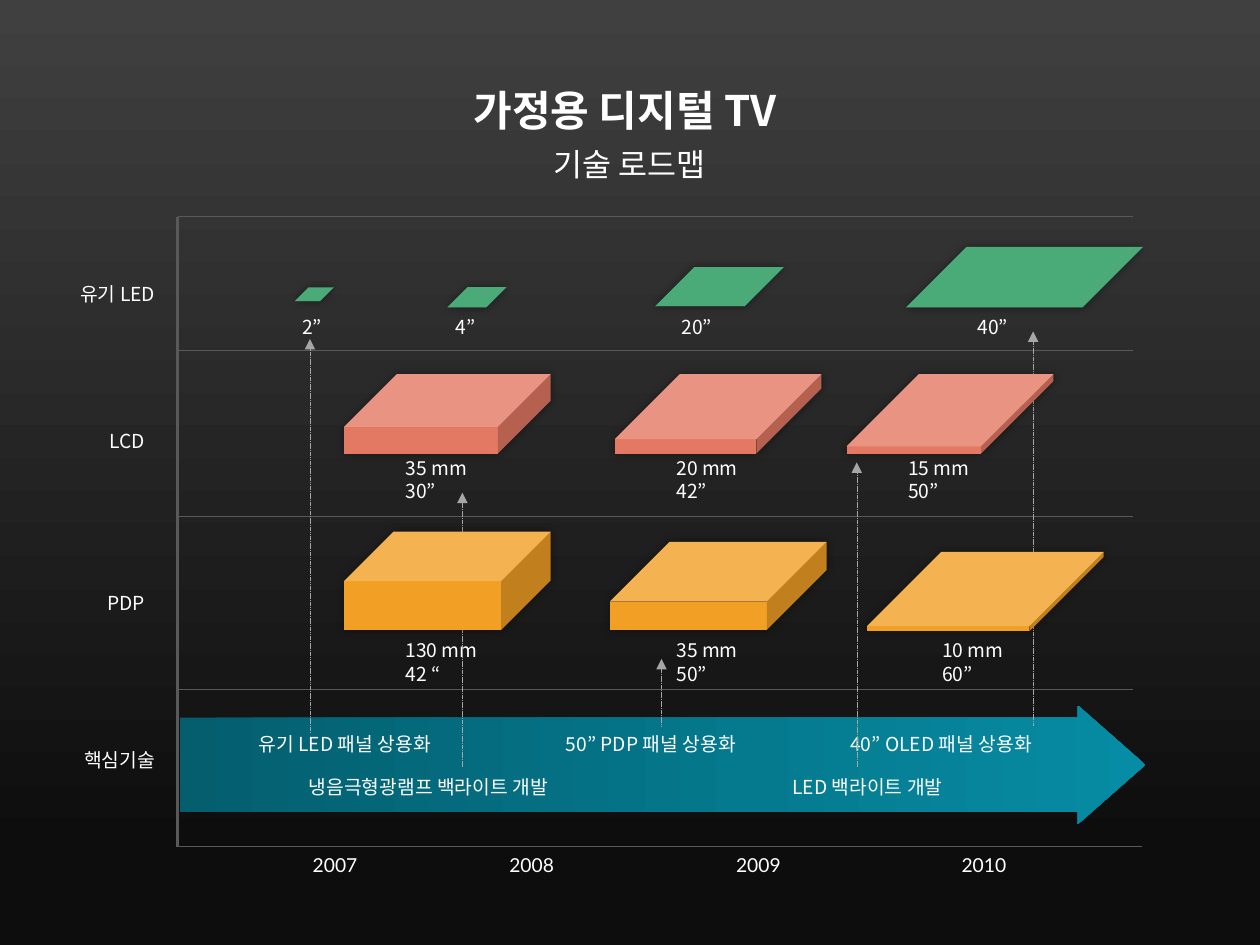
import lxml.etree
import pptx
import pptx.dml.color
import pptx.enum.dml
import pptx.enum.shapes
import pptx.enum.text
import pptx.oxml.ns
import pptx.util

Inches = pptx.util.Inches
Pt = pptx.util.Pt
qn = pptx.oxml.ns.qn
ALIGN = pptx.enum.text.PP_ALIGN
SHAPE = pptx.enum.shapes.MSO_SHAPE

KOREAN_FONT = "Noto Sans CJK KR"
YEAR_FONT = "Lato"
WHITE = "FFFFFF"
GREEN = "1E9657"
CORAL = "E47963"
ORANGE = "F29F26"
AXIS_GREY = "595959"
LINK_GREY = "A6A6A6"


def rgb(value):
    return pptx.dml.color.RGBColor.from_string(value)


def add_child(parent, tag, **attributes):
    return lxml.etree.SubElement(parent, qn(tag), **attributes)


def add_run(paragraph, text, size=11, font=KOREAN_FONT, bold=False):
    run = paragraph.add_run()
    run.text = text
    run.font.size = Pt(size)
    run.font.bold = bold
    run.font.color.rgb = rgb(WHITE)
    run.font.name = font
    add_child(run.font._element, "a:ea", typeface=font)


def fill_gradient(fill, start, end, end_position, angle):
    fill.gradient()
    fill.gradient_angle = angle
    for stop, color, position in zip(fill.gradient_stops, (start, end), (0, end_position)):
        stop.color.rgb = rgb(color)
        stop.position = position


def add_title(slide):
    title = slide.shapes.title
    title.left, title.top = Inches(1.95), Inches(0.62)
    title.width, title.height = Inches(6.02), Inches(0.91)
    frame = title.text_frame
    frame.word_wrap = True
    frame.auto_size = pptx.enum.text.MSO_AUTO_SIZE.SHAPE_TO_FIT_TEXT
    frame.vertical_anchor = pptx.enum.text.MSO_ANCHOR.TOP
    paragraph = frame.paragraphs[0]
    paragraph.alignment = ALIGN.CENTER
    add_run(paragraph, "가정용 디지털 TV", 24, bold=True)
    paragraph.add_line_break()
    add_child(paragraph._p.find(qn("a:br")), "a:rPr", sz="2400")
    add_run(paragraph, " ", 24, bold=True)
    add_run(paragraph, "기술 로드맵", 18)


def add_label(slide, lines, left, top, width, align=ALIGN.LEFT, font=KOREAN_FONT):
    height = 0.29 if len(lines) == 1 else 0.47
    box = slide.shapes.add_textbox(Inches(left), Inches(top), Inches(width), Inches(height))
    frame = box.text_frame
    frame.word_wrap = True
    frame.auto_size = pptx.enum.text.MSO_AUTO_SIZE.SHAPE_TO_FIT_TEXT
    for index, line in enumerate(lines):
        paragraph = frame.add_paragraph() if index else frame.paragraphs[0]
        paragraph.alignment = align
        add_run(paragraph, line, font=font)


def add_line(shapes, start, end, color, width):
    line = shapes.add_connector(
        pptx.enum.shapes.MSO_CONNECTOR.STRAIGHT, *map(Inches, start + end)
    )
    line.line.color.rgb = rgb(color)
    line.line.width = Pt(width)
    add_child(line._element.spPr, "a:effectLst")
    return line


def add_axes(slide):
    shapes = slide.shapes.add_group_shape().shapes
    left, top, bottom = 1.41, 1.72, 6.72
    add_line(shapes, (left, bottom), (9.06, bottom), AXIS_GREY, 0.75)
    add_line(shapes, (left, bottom), (left, top), AXIS_GREY, 2)
    for y in (top, 2.78, 4.1, 5.47):
        add_line(shapes, (left, y), (8.99, y), AXIS_GREY, 0.75)


def add_link(slide, x, start, end):
    link = add_line(slide.shapes, (x, start), (x, end), LINK_GREY, 0.25)
    link.line.dash_style = pptx.enum.dml.MSO_LINE.SQUARE_DOT
    add_child(link.line._get_or_add_ln(), "a:tailEnd", type="triangle")


def add_panel(slide, left, top, width, height, depth, color):
    panel = slide.shapes.add_shape(
        SHAPE.CUBE, Inches(left), Inches(top), Inches(width), Inches(height)
    )
    panel.adjustments[0] = depth
    panel.fill.solid()
    panel.fill.fore_color.rgb = rgb(color)
    panel.line.fill.background()
    panel.shadow.inherit = False
    effects = panel._element.spPr.find(qn("a:effectLst"))
    shadow = add_child(effects, "a:outerShdw", blurRad=str(Pt(5)), dist="0", dir="0",
                       algn="ctr", rotWithShape="0")
    black = add_child(shadow, "a:srgbClr", val="000000")
    add_child(black, "a:alpha", val="40000")


def add_core_arrow(slide):
    arrow = slide.shapes.add_shape(
        SHAPE.RIGHT_ARROW, Inches(1.43), Inches(5.6), Inches(7.66), Inches(0.94)
    )
    arrow.adjustments[0] = 0.795
    arrow.adjustments[1] = 0.568
    fill_gradient(arrow.fill, "045E6E", "068CA4", 1, 0)
    arrow.line.fill.background()
    arrow.shadow.inherit = False


def main():
    deck = pptx.Presentation()
    deck.slide_width, deck.slide_height = Inches(10), Inches(7.5)
    slide = deck.slides.add_slide(deck.slide_layouts[5])
    fill_gradient(slide.background.fill, "404040", "0D0D0D", 0.9, 270)
    add_title(slide)
    add_axes(slide)
    add_core_arrow(slide)

    for name, left, top, width in (
        ("유기 LED", 0.31, 2.19, 1.02),
        ("LCD", 0.47, 3.36, 0.78),
        ("PDP", 0.55, 4.64, 0.7),
        ("핵심기술", 0.39, 5.89, 0.94),
        ("유기 LED 패널 상용화", 1.72, 5.76, 1.8),
        ("50” PDP 패널 상용화", 4.22, 5.76, 1.72),
        ("40” OLED 패널 상용화", 6.4, 5.76, 1.89),
        ("냉음극형광램프 백라이트 개발", 1.64, 6.1, 2.81),
        ("LED 백라이트 개발", 5.7, 6.1, 1.88),
    ):
        add_label(slide, [name], left, top, width, ALIGN.RIGHT)

    for year, left in (("2007", 2.31), ("2008", 3.87), ("2009", 5.67), ("2010", 7.46)):
        add_label(slide, [year], left, 6.72, 0.7, ALIGN.CENTER, YEAR_FONT)

    for top, sizes in (
        (2.45, ((2.3, "2”"), (3.52, "4”"), (5.31, "20”"), (7.66, "40”"))),
        (3.57, ((3.12, "35 mm", "30”"), (5.27, "20 mm", "42”"), (7.11, "15 mm", "50”"))),
        (5.02, ((3.12, "130 mm", "42 “"), (5.27, "35 mm", "50”"), (7.38, "10 mm", "60”"))),
    ):
        for left, *lines in sizes:
            add_label(slide, lines, left, top, 0.86)

    for x, start, end in (
        (2.46, 5.82, 2.69),
        (3.67, 6.09, 3.91),
        (5.25, 5.77, 5.23),
        (6.8, 6.09, 3.67),
        (8.2, 5.76, 2.63),
    ):
        add_link(slide, x, start, end)

    for color, panels in (
        (GREEN, ((2.34, 2.28, 0.31, 0.11, 1), (3.55, 2.28, 0.47, 0.16, 1),
                 (5.2, 2.12, 1.02, 0.31, 1), (7.19, 1.96, 1.88, 0.48, 1))),
        (CORAL, ((2.73, 2.97, 1.64, 0.63, 0.665), (4.88, 2.97, 1.64, 0.63, 0.819),
                 (6.72, 2.97, 1.64, 0.63, 0.909))),
        (ORANGE, ((2.73, 4.22, 1.64, 0.78, 0.504), (4.84, 4.3, 1.72, 0.7, 0.678),
                  (6.88, 4.38, 1.88, 0.63, 0.937))),
    ):
        for panel in panels:
            add_panel(slide, *panel, color)

    deck.save("out.pptx")


if __name__ == "__main__":
    main()
